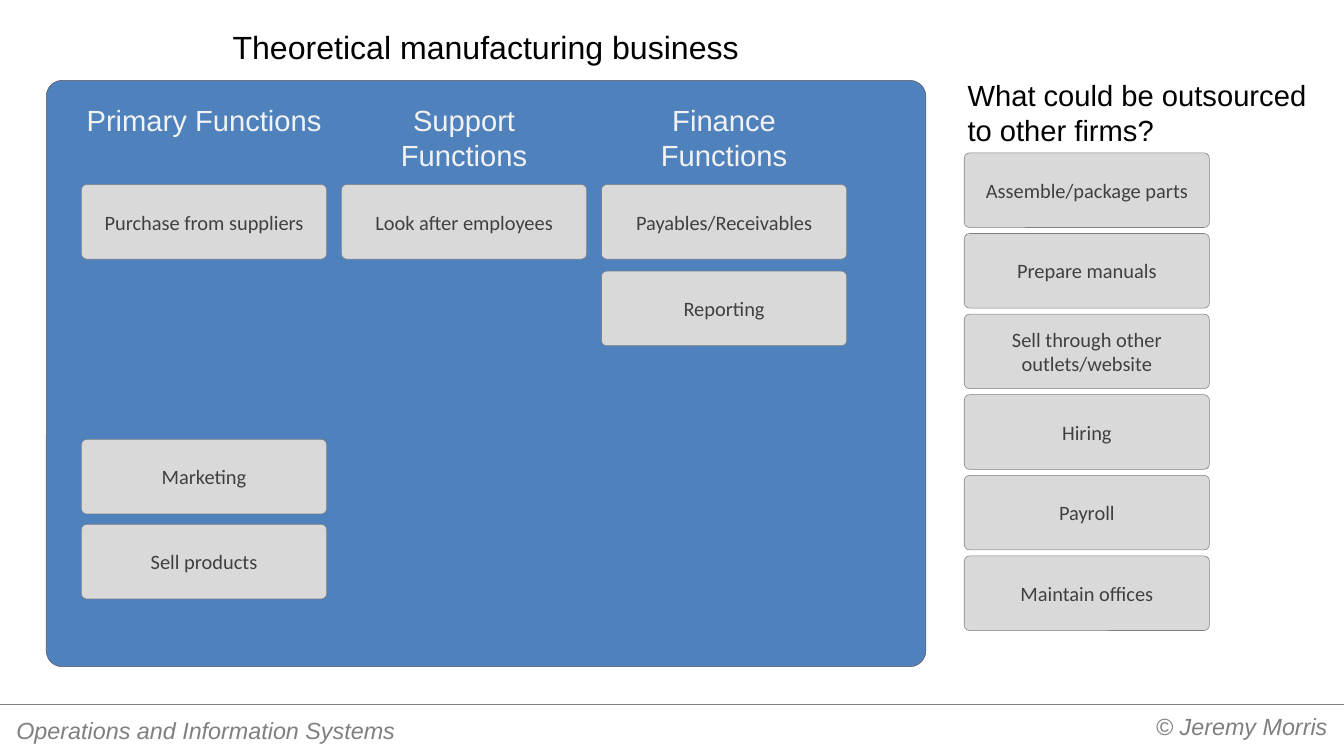
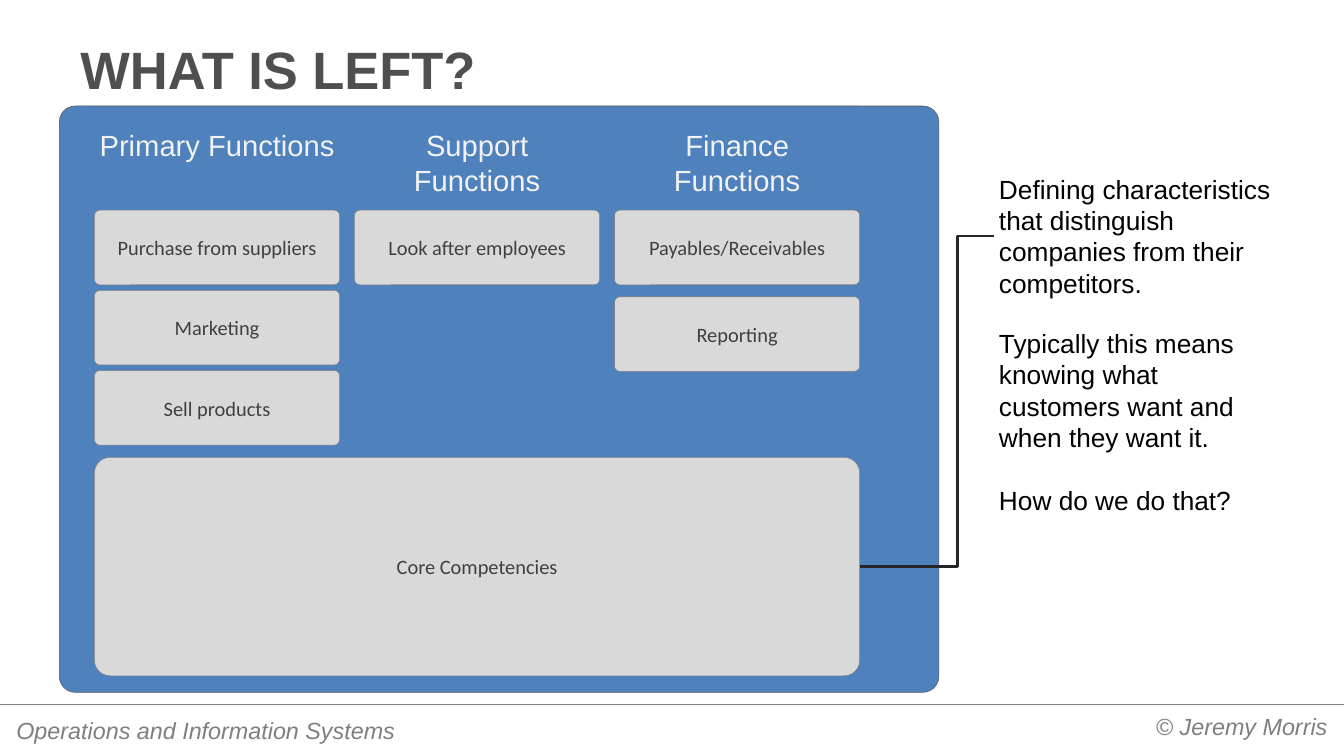
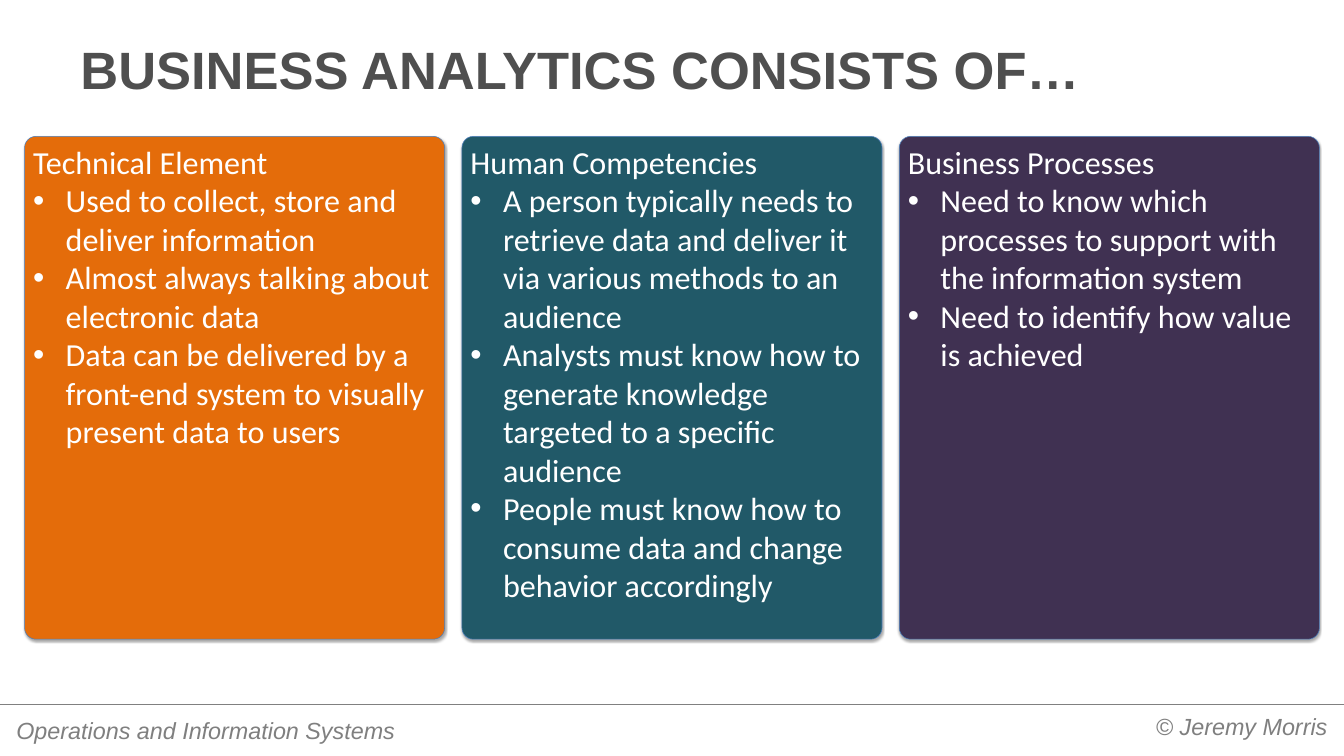
from lxml import etree
from pptx import Presentation
from pptx.dml.color import RGBColor
from pptx.enum.shapes import MSO_CONNECTOR as Connector, MSO_SHAPE as Shape
from pptx.enum.text import MSO_ANCHOR as Anchor, PP_ALIGN as Align
from pptx.oxml.ns import qn
from pptx.util import Cm, Pt

SLIDE_W, SLIDE_H = 65.02, 36.58
COLORS = {
    "ink": "000000", "title": "4F4F4F", "footer": "7F7F7F",
    "rule": "808080", "panel": "4F81BD", "panel_edge": "595959",
    "heading": "F2F2F2", "card": "D9D9D9", "card_text": "404040",
    "elbow": "262626", "white": "FFFFFF", "column_edge": "4B7EBC",
    "technical": "E46C0A", "human": "215968", "processes": "403152",
}

# Function panel: distances from its top left corner, in cm
PANEL_W, PANEL_H = 42.55, 28.37
CARD_W, CARD_H = 11.86, 3.61
CARD_LEFT, COLUMN_STEP = 1.7, 12.58
HEADING_TOP, HEADING_H = 0.91, 3.68
CARD_TOP, FINANCE_STEP = 5.04, 4.19

ANALYTICS = [
    ("technical", "Technical Element", [
        "Used to collect, store and deliver information",
        "Almost always talking about electronic data",
        "Data can be delivered by a front-end system to visually present "
        "data to users"]),
    ("human", "Human Competencies", [
        "A person typically needs to retrieve data and deliver it via "
        "various methods to an audience",
        "Analysts must know how to generate knowledge targeted to a "
        "specific audience",
        "People must know how to consume data and change behavior "
        "accordingly"]),
    ("processes", "Business Processes", [
        "Need to know which processes to support with the information "
        "system",
        "Need to identify how value is achieved"]),
]


def rgb(name):
    return RGBColor.from_string(COLORS[name])


def write(paragraph, text, size, color, font="Arial", bold=False,
          italic=False, align=Align.LEFT):
    paragraph.alignment = align
    run = paragraph.add_run()
    run.text = text
    run.font.name, run.font.size = font, Pt(size)
    run.font.bold, run.font.italic = bold, italic
    run.font.color.rgb = rgb(color)


def add_text(slide, box, text, size, color, inset=(0.25, 0.13),
             anchor=Anchor.TOP, **style):
    label = slide.shapes.add_textbox(*map(Cm, box))
    frame = label.text_frame
    frame.word_wrap = True
    frame.vertical_anchor = anchor
    frame.margin_left = frame.margin_right = Cm(inset[0])
    frame.margin_top = frame.margin_bottom = Cm(inset[1])
    write(frame.paragraphs[0], text, size, color, **style)
    return label


def add_rounded(slide, box, fill, edge, rounding):
    block = slide.shapes.add_shape(Shape.ROUNDED_RECTANGLE, *map(Cm, box))
    block.adjustments[0] = rounding
    block.shadow.inherit = False
    block.fill.solid()
    block.fill.fore_color.rgb = rgb(fill)
    block.line.color.rgb = rgb(edge)
    block.line.width = Pt(0.75)
    block.text_frame.word_wrap = True
    return block


def add_card(slide, left, top, text, width=CARD_W, height=CARD_H):
    card = add_rounded(slide, (left, top, width, height),
                       "card", "rule", 0.071)
    card.text_frame.vertical_anchor = Anchor.MIDDLE
    write(card.text_frame.paragraphs[0], text, 28, "card_text", "Calibri",
          align=Align.CENTER)
    return card


def add_line(slide, kind, ends, color, width):
    line = slide.shapes.add_connector(kind, *map(Cm, ends))
    line.line.color.rgb = rgb(color)
    line.line.width = Pt(width)
    etree.SubElement(line._element.spPr, qn("a:effectLst"))
    return line


def add_slide(deck, title=None):
    """Add a blank slide with the shared footer and, if given, a title."""
    slide = deck.slides.add_slide(deck.slide_layouts[6])
    add_line(slide, Connector.STRAIGHT, (0, 34.06, SLIDE_W, 34.06),
             "rule", 0.75)
    footer = {"size": 32, "color": "footer", "italic": True,
              "inset": (0.46, 0.23)}
    add_text(slide, (37.03, 34.24, 27.66, 3.2), "© Jeremy Morris",
             align=Align.RIGHT, **footer)
    add_text(slide, (0.33, 34.44, 22.23, 1.83),
             "Operations and Information Systems", **footer)
    if title:
        add_text(slide, (3.25, 1.35, 58.52, 3.78), title, 72, "title",
                 inset=(0.64, 0.3), anchor=Anchor.BOTTOM, bold=True)
    return slide


def add_function_panel(slide, left, top, sales_top, sales_step):
    """Draw the panel of business functions; sales cards start at sales_top."""
    add_rounded(slide, (left, top, PANEL_W, PANEL_H),
                "panel", "panel_edge", 0.027)
    columns = [left + CARD_LEFT + i * COLUMN_STEP for i in range(3)]
    primary, support, finance = columns
    for column, name in zip(columns, ("Primary", "Support", "Finance")):
        add_text(slide, (column, top + HEADING_TOP, CARD_W, HEADING_H),
                 f"{name} Functions", 40, "heading", align=Align.CENTER)
    for column, offset, text in (
            (primary, CARD_TOP, "Purchase from suppliers"),
            (primary, sales_top, "Marketing"),
            (primary, sales_top + sales_step, "Sell products"),
            (support, CARD_TOP, "Look after employees"),
            (finance, CARD_TOP, "Payables/Receivables"),
            (finance, CARD_TOP + FINANCE_STEP, "Reporting")):
        add_card(slide, column, top + offset, text)


def add_elbow(slide, start, end, bend):
    """Join the right side of start to the left side of end."""
    elbow = add_line(slide, Connector.ELBOW, (0, 0, 1, 1), "elbow", 3.25)
    elbow.begin_connect(start, 3)
    elbow.end_connect(end, 1)
    geometry = elbow._element.spPr.find(qn("a:prstGeom"))
    guides = geometry.find(qn("a:avLst"))
    if guides is None:
        guides = etree.SubElement(geometry, qn("a:avLst"))
    etree.SubElement(guides, qn("a:gd"), name="adj1",
                     fmla=f"val {round(bend * 100000)}")


def add_drop_shadow(block):
    effects = block._element.spPr.find(qn("a:effectLst"))
    shadow = etree.SubElement(
        effects, qn("a:outerShdw"), blurRad=str(Pt(3.1)),
        dist=str(Pt(1.8)), dir="5400000", rotWithShape="0")
    black = etree.SubElement(shadow, qn("a:srgbClr"), val=COLORS["ink"])
    etree.SubElement(black, qn("a:alpha"), val="35000")


def add_bullet(paragraph):
    properties = paragraph._p.get_or_add_pPr()
    properties.set("marL", str(Cm(1.58)))
    properties.set("indent", str(Cm(-1.58)))
    etree.SubElement(properties, qn("a:buFont"), typeface="Arial")
    etree.SubElement(properties, qn("a:buChar"), char="•")


def add_analytics_column(slide, left, fill, heading, points):
    column = add_rounded(slide, (left, 6.6, 20.32, 24.33),
                         fill, "column_edge", 0.027)
    add_drop_shadow(column)
    frame = column.text_frame
    frame.vertical_anchor = Anchor.TOP
    write(frame.paragraphs[0], heading, 44, "white", "Calibri")
    for point in points:
        paragraph = frame.add_paragraph()
        add_bullet(paragraph)
        write(paragraph, point, 44, "white", "Calibri")


def build_outsourcing(deck):
    slide = add_slide(deck)
    add_text(slide, (2.24, 1.19, PANEL_W, 2.13),
             "Theoretical manufacturing business", 44, "ink",
             align=Align.CENTER)
    add_function_panel(slide, 2.24, 3.89, sales_top=17.37, sales_step=4.11)
    add_text(slide, (46.56, 3.63, 17.3, 3.68),
             "What could be outsourced to other firms?", 40, "ink")
    outsourced = ("Assemble/package parts", "Prepare manuals",
                  "Sell through other outlets/website", "Hiring",
                  "Payroll", "Maintain offices")
    for i, task in enumerate(outsourced):
        add_card(slide, 46.65, 7.4 + i * 3.9, task)


def build_core(deck):
    slide = add_slide(deck, "WHAT IS LEFT?")
    left, top = 2.87, 5.13
    add_function_panel(slide, left, top, sales_top=8.92, sales_step=3.88)
    core = add_card(slide, left + CARD_LEFT, top + 17, "Core Competencies",
                    2 * COLUMN_STEP + CARD_W, 10.57)
    definition = add_text(
        slide, (48.08, 8.23, 13.72, 6.4),
        "Defining characteristics that distinguish companies from their "
        "competitors.", 36, "ink")
    add_elbow(slide, core, definition, 0.729)
    meaning = add_text(
        slide, (48.08, 15.7, 13.72, 9.5),
        "Typically this means knowing what customers want and when they "
        "want it.", 36, "ink")
    question = meaning.text_frame.add_paragraph()
    question.space_before = Pt(42)
    write(question, "How do we do that?", 36, "ink")


def build_analytics(deck):
    slide = add_slide(deck, "BUSINESS ANALYTICS CONSISTS OF…")
    for i, (fill, heading, points) in enumerate(ANALYTICS):
        add_analytics_column(slide, 1.19 + i * 21.16, fill, heading, points)


def main():
    deck = Presentation()
    deck.slide_width, deck.slide_height = Cm(SLIDE_W), Cm(SLIDE_H)
    build_outsourcing(deck)
    build_core(deck)
    build_analytics(deck)
    deck.save("out.pptx")


if __name__ == "__main__":
    main()
